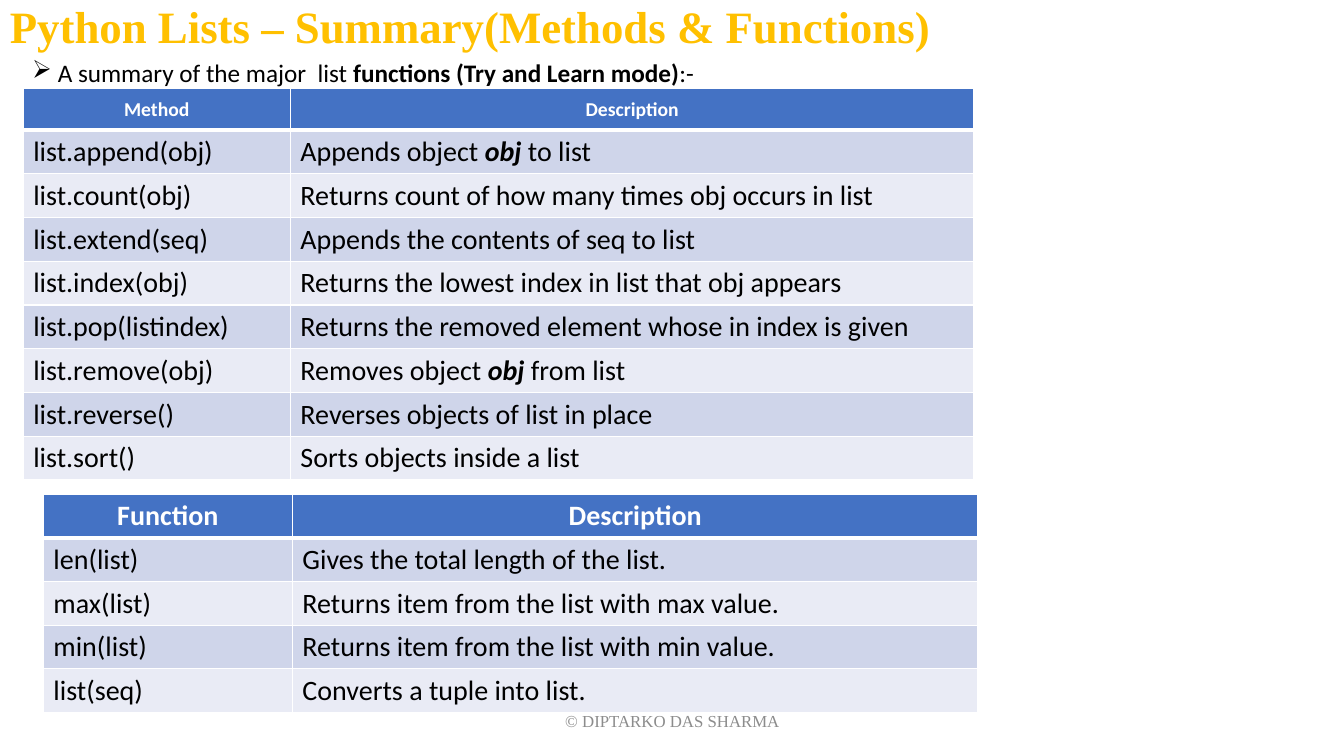
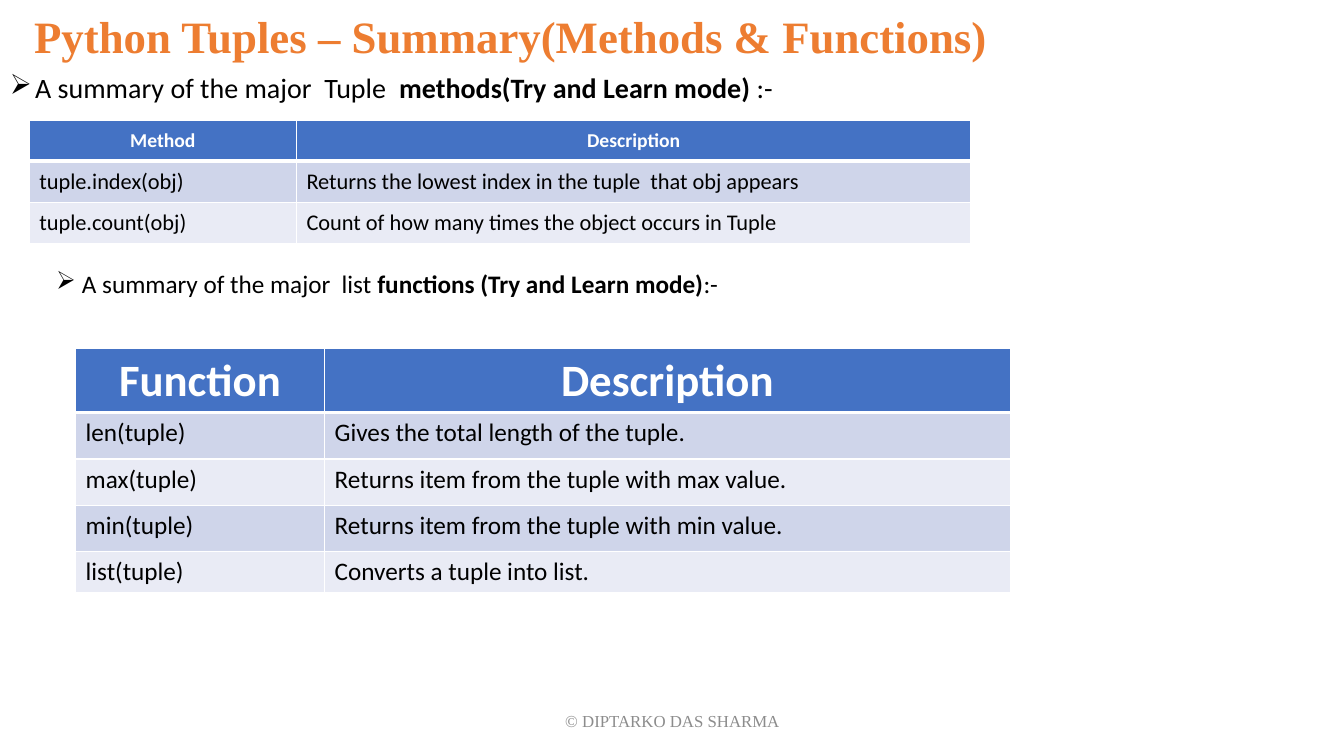
from dataclasses import dataclass

from lxml.etree import SubElement
from pptx import Presentation
from pptx.dml.color import RGBColor
from pptx.enum.text import MSO_ANCHOR, PP_ALIGN
from pptx.oxml.ns import qn
from pptx.slide import Slide
from pptx.table import _Cell
from pptx.text.text import TextFrame
from pptx.util import Inches, Pt

COLORS = {
    "gold": "FFC000",
    "orange": "ED7D31",
    "header": "4472C4",
    "odd": "CFD5EA",
    "even": "E9EBF5",
    "white": "FFFFFF",
    "black": "000000",
    "footer": "8C8C8C",
}
SERIF = "Times New Roman"
FOOTER = "© DIPTARKO DAS SHARMA"


@dataclass(frozen=True)
class Label:
    """A text with its box; stretches between asterisks are emphasised."""

    text: str
    box: tuple[float, float, float, float]
    size: int = 18
    indent: float = 0


@dataclass(frozen=True)
class Reference:
    """A two-column table of calls and what they do."""

    left: float
    top: float
    columns: tuple[float, float]
    heights: tuple[float, ...]
    rows: tuple[tuple[str, str], ...]
    header_size: int
    body_size: int
    anchor: MSO_ANCHOR = MSO_ANCHOR.TOP


@dataclass(frozen=True)
class Summary:
    """The content of one slide."""

    title: Label
    title_color: str
    points: tuple[Label, ...]
    references: tuple[Reference, ...]


SUMMARIES = (
    Summary(
        Label("Python Lists – Summary(Methods & Functions)", (0, 0, 9.74, 0.57), 32),
        "gold",
        (
            Label(" A summary of the major  list *functions (Try and Learn mode)*:-",
                  (0.22, 0.52, 6.83, 0.36)),
        ),
        (
            Reference(
                0.23, 0.88, (2.65, 6.78), (0.41,) * 9,
                (
                    ("Method", "Description"),
                    ("list.append(obj)", "Appends object *obj* to list"),
                    ("list.count(obj)", "Returns count of how many times obj occurs in list"),
                    ("list.extend(seq)", "Appends the contents of seq to list"),
                    ("list.index(obj)", "Returns the lowest index in list that obj appears"),
                    ("list.pop(listindex)", "Returns the removed element whose in index is given"),
                    ("list.remove(obj)", "Removes object *obj* from list"),
                    ("list.reverse()", "Reverses objects of list in place"),
                    ("list.sort()", "Sorts objects inside a list"),
                ),
                14, 20, MSO_ANCHOR.MIDDLE,
            ),
            Reference(
                0.43, 4.9, (2.47, 6.8), (0.37,) * 5,
                (
                    ("Function", "Description"),
                    ("len(list)", "Gives the total length of the list."),
                    ("max(list)", "Returns item from the list with max value."),
                    ("min(list)", "Returns item from the list with min value."),
                    ("list(seq)", "Converts a tuple into list."),
                ),
                20, 20,
            ),
        ),
    ),
    Summary(
        Label("Python Tuples – Summary(Methods & Functions)", (0.24, 0, 9.93, 0.77), 32),
        "orange",
        (
            Label("A summary of the major  Tuple  *methods(Try and Learn mode)* :-",
                  (0, 0.69, 12.27, 0.45), 20, 0.25),
            Label(" A summary of the major  list *functions (Try and Learn mode)*:-",
                  (0.46, 2.61, 6.83, 0.71)),
        ),
        (
            Reference(
                0.29, 1.19, (2.65, 6.69), (0.41,) * 3,
                (
                    ("Method", "Description"),
                    ("tuple.index(obj)", "Returns the lowest index in the tuple  that obj appears"),
                    ("tuple.count(obj)", "Count of how many times the object occurs in Tuple"),
                ),
                14, 16, MSO_ANCHOR.MIDDLE,
            ),
            Reference(
                0.75, 3.46, (2.47, 6.8), (0.46,) * 4 + (0.41,),
                (
                    ("Function", "Description"),
                    ("len(tuple)", "Gives the total length of the tuple."),
                    ("max(tuple)", "Returns item from the tuple with max value."),
                    ("min(tuple)", "Returns item from the tuple with min value."),
                    ("list(tuple)", "Converts a tuple into list."),
                ),
                32, 18,
            ),
        ),
    ),
)


def rgb(name: str) -> RGBColor:
    """Look up a named colour."""
    return RGBColor.from_string(COLORS[name])


def write_text(
    frame: TextFrame, text: str, *, size: int, color: str = "black", font: str = "Calibri",
    bold: bool = False, slanted: bool = False, align: PP_ALIGN = PP_ALIGN.LEFT,
    spacing: float = 1.0, bullet: str = "", indent: float = 0,
) -> None:
    """Fill a frame with one paragraph, emphasising text between asterisks."""
    paragraph = frame.paragraphs[0]
    paragraph.alignment = align
    paragraph.line_spacing = spacing
    if bullet:
        properties = paragraph._p.get_or_add_pPr()
        properties.set("marL", str(Inches(indent)))
        properties.set("indent", str(-Inches(indent)))
        SubElement(properties, qn("a:buChar"), char=bullet)
    for position, part in enumerate(text.split("*")):
        emphasised = position % 2 == 1
        run = paragraph.add_run()
        run.text = part
        run.font.name = font
        run.font.size = Pt(size)
        run.font.bold = bold or emphasised
        run.font.italic = slanted and emphasised
        run.font.color.rgb = rgb(color)


def add_label(slide: Slide, label: Label, *, anchor: MSO_ANCHOR = MSO_ANCHOR.TOP, **style) -> None:
    """Place a label on the slide."""
    frame = slide.shapes.add_textbox(*map(Inches, label.box)).text_frame
    frame.word_wrap = True
    frame.vertical_anchor = anchor
    write_text(frame, label.text, size=label.size, indent=label.indent, **style)


def add_borders(cell: _Cell, widths: dict[str, int]) -> None:
    """Give a cell white borders of the given widths in points."""
    properties = cell._tc.get_or_add_tcPr()
    for side, width in widths.items():
        line = SubElement(properties, qn(f"a:ln{side}"), w=str(Pt(width)))
        fill = SubElement(line, qn("a:solidFill"))
        SubElement(fill, qn("a:srgbClr"), val=COLORS["white"])


def add_reference(slide: Slide, reference: Reference) -> None:
    """Draw a reference table with a header and banded rows."""
    table = slide.shapes.add_table(
        len(reference.rows), len(reference.columns),
        Inches(reference.left), Inches(reference.top),
        Inches(sum(reference.columns)), Inches(sum(reference.heights)),
    ).table
    for column, width in zip(table.columns, reference.columns):
        column.width = Inches(width)
    for index, (row, height, texts) in enumerate(
        zip(table.rows, reference.heights, reference.rows)
    ):
        row.height = Inches(height)
        is_header = index == 0
        band = "header" if is_header else ("even", "odd")[index % 2]
        for cell, text in zip(row.cells, texts):
            top, bottom = (1, 3) if is_header else (3 if index == 1 else 1, 1)
            add_borders(cell, {"L": 1, "R": 1, "T": top, "B": bottom})
            cell.fill.solid()
            cell.fill.fore_color.rgb = rgb(band)
            cell.vertical_anchor = reference.anchor
            write_text(
                cell.text_frame, text,
                size=reference.header_size if is_header else reference.body_size,
                color="white" if is_header else "black",
                bold=is_header, slanted=True,
                align=PP_ALIGN.CENTER if is_header else PP_ALIGN.LEFT,
            )


def add_summary(slide: Slide, summary: Summary) -> None:
    """Build one summary slide."""
    add_label(slide, summary.title, anchor=MSO_ANCHOR.MIDDLE, font=SERIF,
              color=summary.title_color, bold=True, spacing=0.9)
    for point in summary.points:
        add_label(slide, point, bullet="➢", spacing=0.9 if point.indent else 1.0)
    for reference in summary.references:
        add_reference(slide, reference)
    add_label(slide, Label(FOOTER, (4.42, 6.95, 4.5, 0.4), 12), anchor=MSO_ANCHOR.MIDDLE,
              font=SERIF, color="footer", align=PP_ALIGN.CENTER)


def main() -> None:
    """Build and save the presentation."""
    presentation = Presentation()
    presentation.slide_width = Inches(13.33)
    presentation.slide_height = Inches(7.5)
    blank = presentation.slide_layouts[6]
    for summary in SUMMARIES:
        add_summary(presentation.slides.add_slide(blank), summary)
    presentation.save("out.pptx")


if __name__ == "__main__":
    main()
